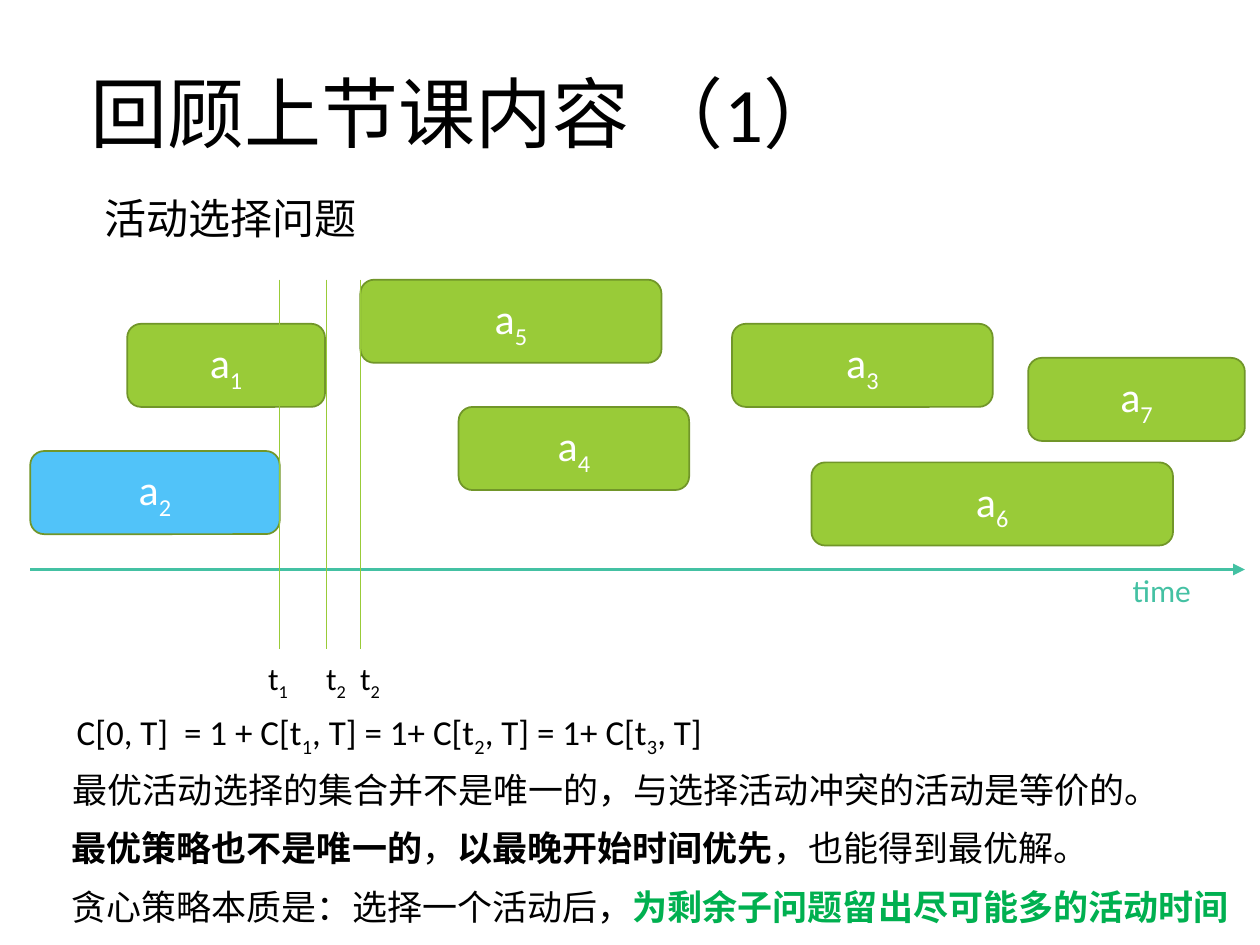
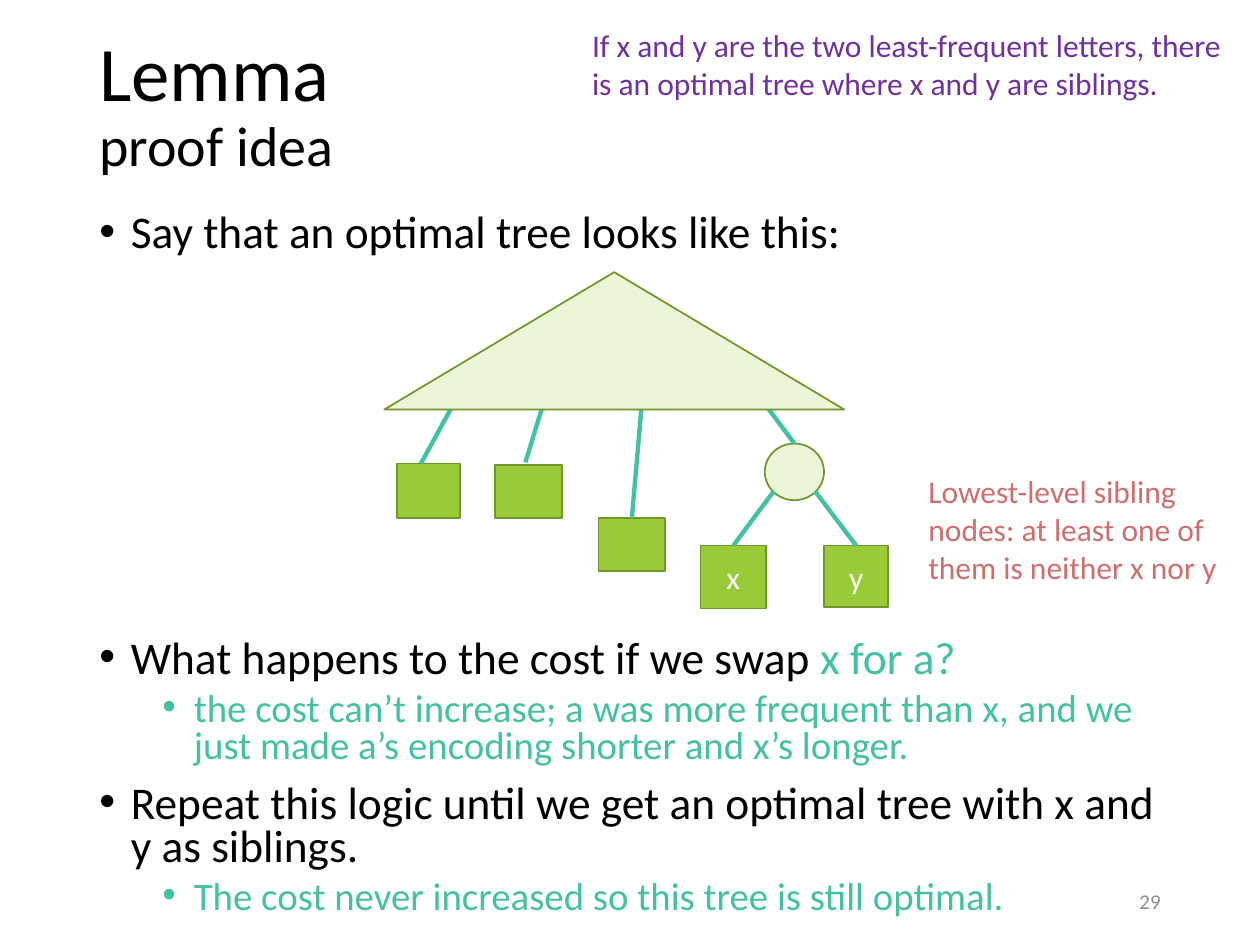
from dataclasses import dataclass
from typing import NamedTuple, Optional

from lxml import etree
from pptx import Presentation, util as u
from pptx.dml.color import RGBColor
from pptx.enum import shapes, text
from pptx.oxml.ns import qn


@dataclass(frozen=True)
class Theme:
    font: str = "Calibri"
    black: str = "000000"
    white: str = "FFFFFF"
    green: str = "99CB38"
    pale_green: str = "EBF5D7"
    outline: str = "719629"
    blue: str = "51C3F9"
    teal: str = "44C1A3"
    emphasis: str = "00B050"
    rose: str = "CF6E6C"
    purple: str = "7030A0"
    gray: str = "8C8C8C"
    title: float = 44
    subtitle: float = 32
    heading: float = 24
    statement: float = 20
    label: float = 18
    footer: float = 12
    bullet: float = 25.9
    sub_bullet: float = 22.2


THEME = Theme()


class Box(NamedTuple):
    left: float
    top: float
    width: float
    height: float


class Run(NamedTuple):
    text: str
    subscript: bool = False
    bold: bool = False
    color: Optional[str] = None
    size: Optional[float] = None
    new_line: bool = False


@dataclass(frozen=True)
class Activity:
    number: str
    left: float
    top: float
    width: float
    color: str = THEME.green


@dataclass(frozen=True)
class Node:
    box: Box
    label: str = ""
    kind: shapes.MSO_SHAPE = shapes.MSO_SHAPE.RECTANGLE
    color: str = THEME.green


@dataclass(frozen=True)
class Edge:
    start: tuple[float, float]
    end: tuple[float, float]
    child: Optional[str] = None  # node joined at the middle of its top side


@dataclass(frozen=True)
class Bullet:
    runs: list[Run]
    level: int = 0
    color: str = THEME.black


def subscripted(base: str, index: str) -> list[Run]:
    return [Run(base), Run(index, subscript=True)]


def lengths(*values: float) -> list[int]:
    return [u.Inches(value) for value in values]


def rgb(color: str) -> RGBColor:
    return RGBColor.from_string(color)


# Text
def fill_paragraph(paragraph, runs: list[Run], size: float, color: str) -> None:
    paragraph.font.name = THEME.font
    paragraph.font.size = u.Pt(size)
    paragraph.font.color.rgb = rgb(color)
    for part in runs:
        if part.new_line:
            paragraph.add_line_break()
        run = paragraph.add_run()
        run.text = part.text
        if part.subscript:
            run._r.get_or_add_rPr().set("baseline", "-25000")
        if part.bold:
            run.font.bold = True
        if part.color:
            run.font.color.rgb = rgb(part.color)
        if part.size:
            run.font.size = u.Pt(part.size)


def add_text(slide, box: Box, runs: list[Run], size: float, color: str = THEME.black,
             wrap: bool = True, middle: bool = False, right: bool = False):
    shape = slide.shapes.add_textbox(*lengths(*box))
    frame = shape.text_frame
    frame.word_wrap = wrap
    if middle:
        frame.vertical_anchor = text.MSO_ANCHOR.MIDDLE
    else:
        frame.auto_size = text.MSO_AUTO_SIZE.SHAPE_TO_FIT_TEXT
    paragraph = frame.paragraphs[0]
    if right:
        paragraph.alignment = text.PP_ALIGN.RIGHT
    fill_paragraph(paragraph, runs, size, color)
    return shape


def add_title(slide, left: float, top: float, runs: list[Run]) -> None:
    shape = add_text(slide, Box(left, top, 8.62, 1.45), runs, THEME.title, middle=True)
    shape.text_frame.paragraphs[0].line_spacing = 0.9


def add_bullets(slide, box: Box, bullets: list[Bullet]) -> None:
    frame = slide.shapes.add_textbox(*lengths(*box)).text_frame
    frame.word_wrap = True
    for position, bullet in enumerate(bullets):
        paragraph = frame.add_paragraph() if position else frame.paragraphs[0]
        paragraph.level = bullet.level
        paragraph.line_spacing = 0.8
        paragraph.space_before = u.Pt((5 if bullet.level else 10) if position else 0)
        properties = paragraph._p.get_or_add_pPr()
        properties.set("marL", str(u.Inches(0.25 + 0.5 * bullet.level)))
        properties.set("indent", str(u.Inches(-0.25)))
        etree.SubElement(properties, qn("a:buFont")).set("typeface", "Arial")
        etree.SubElement(properties, qn("a:buChar")).set("char", "•")
        size = THEME.sub_bullet if bullet.level else THEME.bullet
        fill_paragraph(paragraph, bullet.runs, size, bullet.color)


# Shapes and lines
def add_block(slide, kind: shapes.MSO_SHAPE, box: Box, color: str,
              runs: list[Run], size: float):
    shape = slide.shapes.add_shape(kind, *lengths(*box))
    shape.shadow.inherit = False
    shape.fill.solid()
    shape.fill.fore_color.rgb = rgb(color)
    shape.line.color.rgb = rgb(THEME.outline)
    shape.line.width = u.Pt(1)
    if runs:
        shape.text_frame.vertical_anchor = text.MSO_ANCHOR.MIDDLE
        paragraph = shape.text_frame.paragraphs[0]
        paragraph.alignment = text.PP_ALIGN.CENTER
        fill_paragraph(paragraph, runs, size, THEME.white)
    return shape


def add_line(slide, start: tuple[float, float], end: tuple[float, float],
             color: str, width: float, arrow: bool = False):
    line = slide.shapes.add_connector(
        shapes.MSO_CONNECTOR.STRAIGHT, *lengths(*start, *end))
    line.line.color.rgb = rgb(color)
    line.line.width = u.Pt(width)
    if arrow:
        outline = line.line._get_or_add_ln()
        etree.SubElement(outline, qn("a:tailEnd")).set("type", "triangle")
    etree.SubElement(line._element.spPr, qn("a:effectLst"))
    return line


def build_activity_slide(slide) -> None:
    add_title(slide, 0.62, 0.21, [Run("回顾上节课内容 （1）")])
    add_text(slide, Box(0.73, 1.48, 2.22, 0.5), [Run("活动选择问题")],
             THEME.heading, wrap=False)

    # Activities above the time axis
    activities = [
        Activity("3", 5.81, 2.57, 2.07),
        Activity("1", 1.01, 2.57, 1.57),
        Activity("4", 3.64, 3.23, 1.83),
        Activity("2", 0.24, 3.58, 1.98, THEME.blue),
        Activity("5", 2.86, 2.22, 2.39),
        Activity("7", 8.16, 2.84, 1.72),
        Activity("6", 6.44, 3.67, 2.87),
    ]
    for activity in activities:
        box = Box(activity.left, activity.top, activity.width, 0.66)
        add_block(slide, shapes.MSO_SHAPE.ROUNDED_RECTANGLE, box, activity.color,
                  subscripted("a", activity.number), THEME.heading)
    add_line(slide, (0.24, 4.52), (9.88, 4.52), THEME.teal, 2.25, arrow=True)
    add_text(slide, Box(8.89, 4.48, 1.11, 0.4), [Run("time")], THEME.label, THEME.teal)

    # Time marks: line position, label position, index
    for mark, label_left, index in ((2.22, 2.03, "1"), (2.59, 2.49, "2"), (2.86, 2.76, "2")):
        add_line(slide, (mark, 2.22), (mark, 5.15), THEME.green, 0.5)
        add_text(slide, Box(label_left, 5.18, 0.37, 0.4), subscripted("t", index),
                 THEME.label, wrap=False)

    # Conclusions
    statements = [
        (Box(0.51, 5.59, 5.3, 0.44),
         subscripted("C[0, T]  = 1 + C[t", "1") + subscripted(", T] = 1+ C[t", "2")
         + subscripted(", T] = 1+ C[t", "3") + [Run(", T]")]),
        (Box(0.48, 6.05, 8.9, 0.44),
         [Run("最优活动选择的集合并不是唯一的，与选择活动冲突的活动是等价的。")]),
        (Box(0.47, 6.51, 8.34, 0.44),
         [Run("最优策略也不是唯一的", bold=True), Run("，"),
          Run("以最晚开始时间优先", bold=True), Run("，也能得到最优解。")]),
        (Box(0.47, 6.98, 9.5, 0.44),
         [Run("贪心策略本质是：选择一个活动后，"),
          Run("为剩余子问题留出尽可能多的活动时间", bold=True, color=THEME.emphasis)]),
    ]
    for box, runs in statements:
        add_text(slide, box, runs, THEME.statement, wrap=False)


def build_lemma_slide(slide) -> None:
    add_title(slide, 0.69, 0.12,
              [Run("Lemma"), Run("proof idea", size=THEME.subtitle, new_line=True)])

    # Bullets above and below the tree
    add_bullets(slide, Box(0.69, 1.65, 8.62, 0.5),
                [Bullet([Run("Say that an optimal tree looks like this:")])])
    add_bullets(slide, Box(0.69, 5.03, 8.62, 2.47), [
        Bullet([Run("What happens to the cost if we swap "),
                Run("x for a?", color=THEME.teal)]),
        Bullet([Run("the cost can’t increase; a was more frequent than x, and we "
                    "just made a’s encoding shorter and x’s longer.")], 1, THEME.teal),
        Bullet([Run("Repeat this logic until we get an optimal tree with x and y "
                    "as siblings.")]),
        Bullet([Run("The cost never increased so this tree is still optimal.")],
               1, THEME.teal),
    ])

    # Tree nodes, edges, then the upper part of the tree
    nodes = {
        "parent": Node(Box(6.07, 3.52, 0.47, 0.45), "", shapes.MSO_SHAPE.OVAL,
                       THEME.pale_green),
        "first leaf": Node(Box(3.15, 3.68, 0.5, 0.43)),
        "second leaf": Node(Box(3.93, 3.69, 0.53, 0.42)),
        "third leaf": Node(Box(4.75, 4.11, 0.53, 0.42)),
        "x": Node(Box(5.56, 4.33, 0.52, 0.5), "x"),
        "y": Node(Box(6.54, 4.33, 0.51, 0.49), "y"),
    }
    drawn = {
        name: add_block(slide, node.kind, node.box, node.color,
                        [Run(node.label)] if node.label else [], THEME.label)
        for name, node in nodes.items()
    }
    edges = [
        Edge((3.62, 3.17), (3.34, 3.68)),
        Edge((4.32, 3.18), (4.17, 3.67)),
        Edge((5.09, 3.25), (5.01, 4.11), "third leaf"),
        Edge((6.05, 3.18), (6.31, 3.53), "parent"),
        Edge((6.14, 3.9), (5.82, 4.33), "x"),
        Edge((6.47, 3.9), (6.79, 4.33), "y"),
    ]
    for edge in edges:
        line = add_line(slide, edge.start, edge.end, THEME.teal, 2.5)
        if edge.child:
            line.end_connect(drawn[edge.child], 0)
    add_block(slide, shapes.MSO_SHAPE.ISOSCELES_TRIANGLE, Box(3.05, 2.16, 3.65, 1.09),
              THEME.pale_green, [], THEME.label)

    # Side notes and page number
    add_text(slide, Box(7.27, 3.7, 2.52, 1.01),
             [Run("Lowest-level sibling nodes: at least one of them is neither x nor y")],
             THEME.label, THEME.rose)
    add_text(slide, Box(4.6, 0.16, 5.38, 0.71),
             [Run("If x and y are the two least-frequent letters, there is an optimal "
                  "tree where x and y are siblings.")], THEME.label, THEME.purple)
    add_text(slide, Box(7.06, 6.95, 2.25, 0.4), [Run("29")], THEME.footer, THEME.gray,
             middle=True, right=True)


def main() -> None:
    presentation = Presentation()
    presentation.slide_width, presentation.slide_height = lengths(10, 7.5)
    blank = presentation.slide_layouts[6]
    for build in (build_activity_slide, build_lemma_slide):
        build(presentation.slides.add_slide(blank))
    presentation.save("out.pptx")


if __name__ == "__main__":
    main()
